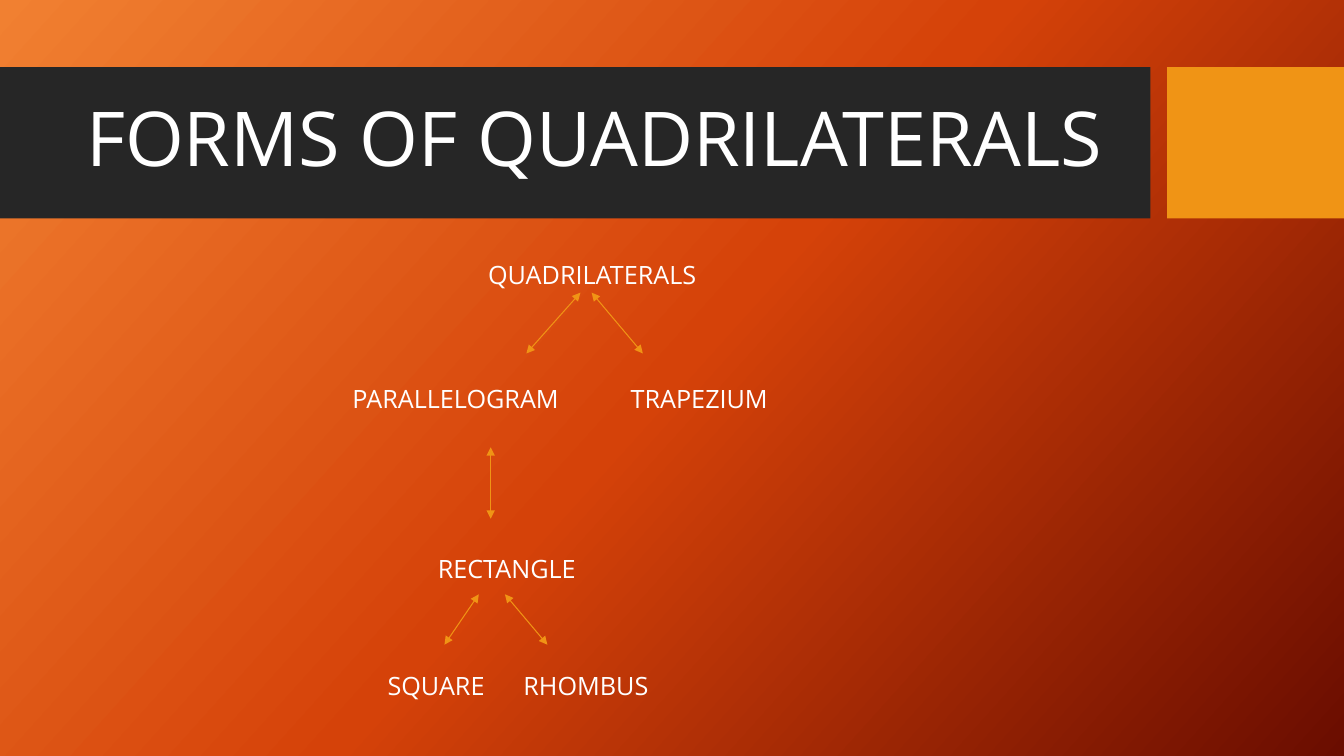
import pptx
import pptx.util
import pptx.dml.color
import pptx.enum.shapes
import pptx.enum.text
import pptx.oxml
import pptx.oxml.ns
from lxml import etree

Pt = pptx.util.Pt
RGBColor = pptx.dml.color.RGBColor
ALIGN = pptx.enum.text.PP_ALIGN
ANCHOR = pptx.enum.text.MSO_ANCHOR

WHITE = RGBColor(0xFF, 0xFF, 0xFF)
CHARCOAL = RGBColor(0x26, 0x26, 0x26)
AMBER = RGBColor(0xF0, 0x94, 0x15)
BACKGROUND_STOPS = [
    (0, RGBColor(0xF1, 0x80, 0x31)),
    (50, RGBColor(0xD5, 0x42, 0x09)),
    (100, RGBColor(0x6A, 0x0D, 0x00)),
]

LABEL_WIDTH, LABEL_HEIGHT = 180, 28
BAND_TOP, BAND_HEIGHT = 48, 108

# Label text, centre x, centre y
LABELS = [
    ("QUADRILATERALS", 423, 196),
    ("PARALLELOGRAM", 325.5, 284.5),
    ("TRAPEZIUM", 499.5, 284.5),
    ("RECTANGLE", 362, 406),
    ("SQUARE", 311.5, 489.5),
    ("RHOMBUS", 418.5, 489.5),
]

# Start x, start y, end x, end y
ARROWS = [
    (422.6, 209, 459.2, 252.5),
    (414.6, 209, 376, 252.5),
    (350.5, 319.5, 350.5, 370.5),
    (360.7, 424.5, 391, 460.5),
    (342, 424.5, 317.5, 460.5),
]


def write_text(text_frame, text, size, font="Open Sans", color=WHITE,
               align=ALIGN.CENTER, line_spacing=1.0):
    text_frame.word_wrap = True
    text_frame.auto_size = pptx.enum.text.MSO_AUTO_SIZE.NONE
    text_frame.vertical_anchor = ANCHOR.MIDDLE
    paragraph = text_frame.paragraphs[0]
    paragraph.alignment = align
    paragraph.line_spacing = line_spacing
    run = paragraph.add_run()
    run.text = text
    run.font.name = font
    run.font.size = Pt(size)
    run.font.color.rgb = color


class QuadrilateralSlide:
    def __init__(self, presentation):
        self.slide = presentation.slides.add_slide(presentation.slide_layouts[5])
        self.line_color = AMBER
        self.line_width = 0.75
        self.label_size = 18

    def background(self, stops, angle):
        fill = self.slide.background.fill
        fill.gradient()
        fill.gradient_angle = 360 - angle
        namespace = pptx.oxml.ns.qn
        stop_list = next(self.slide.element.iter(namespace("a:gsLst")))
        for stop in list(stop_list):
            stop_list.remove(stop)
        for position, color in stops:
            stop = etree.SubElement(stop_list, namespace("a:gs"), pos=str(position * 1000))
            etree.SubElement(stop, namespace("a:srgbClr"), val=str(color))

    def title(self, text, left, top, width, height):
        shape = self.slide.shapes.title
        shape.left, shape.top = Pt(left), Pt(top)
        shape.width, shape.height = Pt(width), Pt(height)
        shape.text_frame.margin_right = Pt(21.6)
        write_text(shape.text_frame, text, 54, line_spacing=0.9)

    def band(self, left, width, color):
        shape = self.slide.shapes.add_shape(
            pptx.enum.shapes.MSO_SHAPE.RECTANGLE,
            Pt(left), Pt(BAND_TOP), Pt(width), Pt(BAND_HEIGHT))
        shape.shadow.inherit = False
        shape.fill.solid()
        shape.fill.fore_color.rgb = color
        shape.line.fill.background()
        # Keep the band behind the title
        self.slide.shapes.title.element.addprevious(shape.element)

    def label(self, text, center_x, center_y):
        box = self.slide.shapes.add_textbox(
            Pt(center_x - LABEL_WIDTH / 2), Pt(center_y - LABEL_HEIGHT / 2),
            Pt(LABEL_WIDTH), Pt(LABEL_HEIGHT))
        write_text(box.text_frame, text, self.label_size)

    def arrow(self, start_x, start_y, end_x, end_y):
        connector = self.slide.shapes.add_connector(
            pptx.enum.shapes.MSO_CONNECTOR.STRAIGHT,
            Pt(start_x), Pt(start_y), Pt(end_x), Pt(end_y))
        connector.line.color.rgb = self.line_color
        connector.line.width = Pt(self.line_width)
        namespace = pptx.oxml.ns.qn
        line = connector.line._get_or_add_ln()
        for end in ("a:headEnd", "a:tailEnd"):
            etree.SubElement(line, namespace(end), type="triangle")
        etree.SubElement(connector.element.spPr, namespace("a:effectLst"))


def main():
    presentation = pptx.Presentation()
    presentation.slide_width = Pt(960)
    presentation.slide_height = Pt(540)
    page = QuadrilateralSlide(presentation)

    # Background and title band
    page.background(BACKGROUND_STOPS, 42)
    page.band(0, 821.75, CHARCOAL)
    page.band(833.75, 126.25, AMBER)
    page.title("FORMS OF QUADRILATERALS", 53.5, 59, 756.5, 85)

    # Family tree of quadrilaterals
    for label in LABELS:
        page.label(*label)
    for arrow in ARROWS:
        page.arrow(*arrow)

    presentation.save("out.pptx")


if __name__ == "__main__":
    main()
